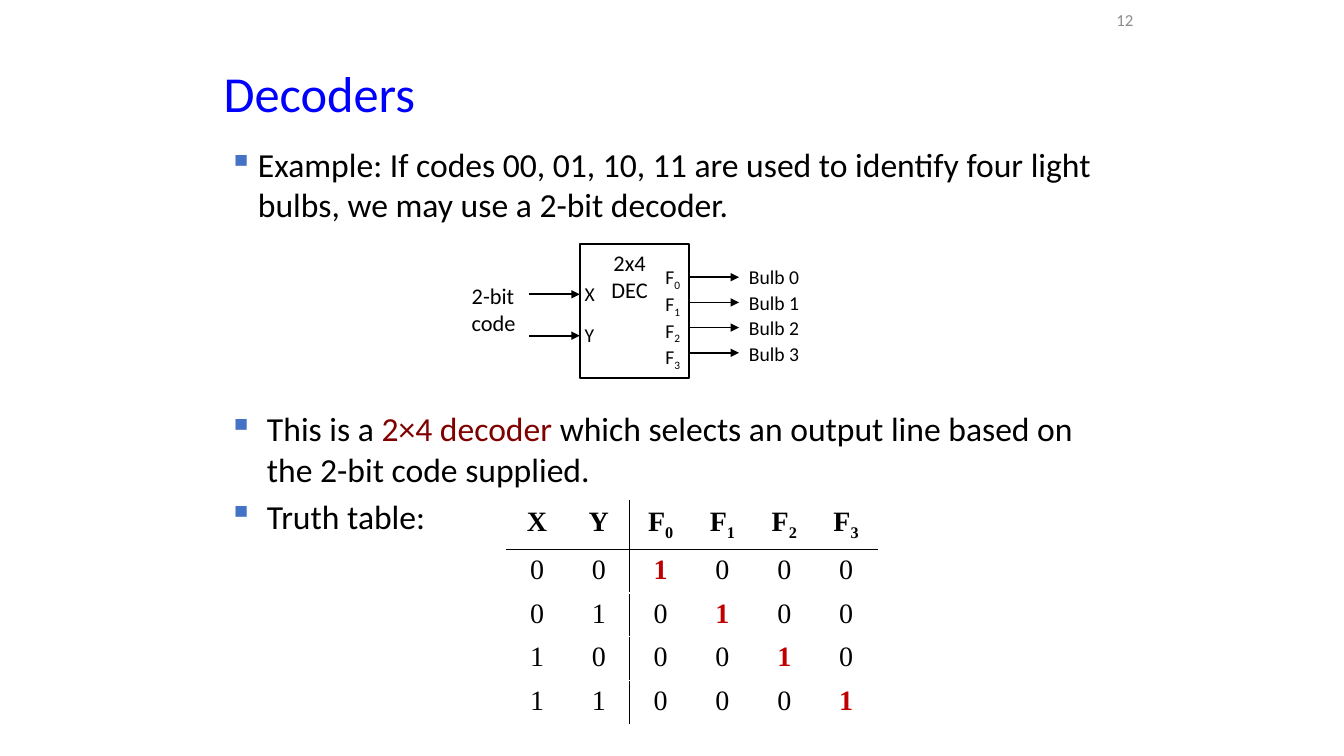
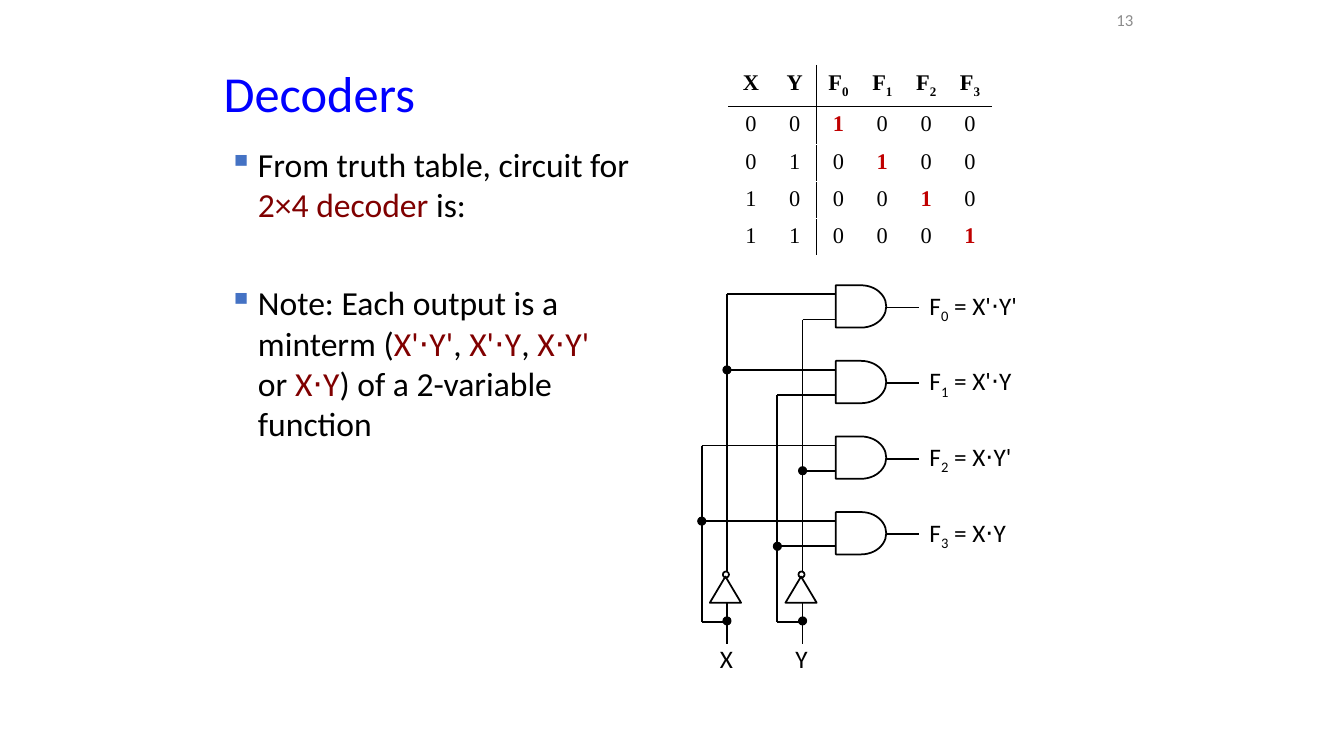
"""Build two slides that explain a 2×4 decoder."""
from lxml import etree
from pptx import Presentation
from pptx import util as u
from pptx.dml.color import RGBColor
from pptx.enum import shapes, text
from pptx.oxml.ns import qn

SCALE = 9144
BLACK, TITLE, GREY = "000000", "0000FF", "8C8C8C"
ACCENT, ONE, BULLET = "800000", "C00000", "4472C4"
BODY, TABLE = "Calibri", "Times New Roman"
LEFT, CENTER, RIGHT = text.PP_ALIGN.LEFT, text.PP_ALIGN.CENTER, text.PP_ALIGN.RIGHT
TOP, MIDDLE = text.MSO_ANCHOR.TOP, text.MSO_ANCHOR.MIDDLE
SHAPE = shapes.MSO_SHAPE

# Markup in strings: *accent* and ~subscript~
OUTPUTS = [f"F~{n}~" for n in range(4)]
CODES = ["00", "01", "10", "11"]
TRUTH = [["X", "Y", *OUTPUTS]] + [
    [*code, *("*1*" if column == row else "0" for column in range(4))]
    for row, code in enumerate(CODES)]

EXAMPLE = ["Example: If codes 00, 01, 10, 11 are used to identify four light "
           "bulbs, we may use a 2-bit decoder."]
SUMMARY = ["This is a *2×4 decoder* which selects an output line based on "
           "the 2-bit code supplied.", "Truth table:"]
CIRCUIT = ["From truth table, circuit for *2×4 decoder* is:"]
NOTE = ["Note: Each output is a minterm (*X'⋅Y'*, *X'⋅Y*, *X⋅Y'* or *X⋅Y*) "
        "of a 2-variable function"]

# Box, lines, size, alignment, space between lines in points
BLOCK_LABELS = [
    ((583, 242, 83, 64), ["2x4", "DEC"], 16, CENTER, 0),
    ((458, 275, 75, 64), ["2-bit code"], 16, LEFT, 0),
    ((570, 275, 42, 74), ["X", "Y"], 14, LEFT, 12),
    ((650, 258, 42, 104), OUTPUTS, 14, LEFT, 0),
    ((733, 258, 117, 111), [f"Bulb {n}" for n in range(4)], 14, LEFT, 1.4),
]
INPUT_ROWS = [292, 333]
OUTPUT_ROWS = [275, 300, 325, 350]

RISERS = {"X": 696, "X'": 721, "Y": 771, "Y'": 796}
GATES = [("X'", "Y'"), ("X'", "Y"), ("X", "Y'"), ("X", "Y")]
GATE_LEFT, GATE_TOP, GATE_STEP, GATE_WIDTH, GATE_HEIGHT = 829, 283, 75, 50, 42
TAPS = (9, 34)
BUBBLE_Y, BRANCH_Y, INPUT_Y = 567, 617, 639


def px(value):
    return u.Emu(round(value * SCALE))


def colour(value):
    return RGBColor.from_string(value)


def child(parent, tag, **attributes):
    return etree.SubElement(parent, qn(tag), attributes)


def write(para, content, size, font=BODY, color=BLACK, align=LEFT,
          accent=ACCENT, bold=False, bold_accent=False):
    para.alignment = align
    para.font.size, para.font.name = u.Pt(size), font
    for i, part in enumerate(content.split("*")):
        for j, piece in enumerate(part.split("~")):
            if not piece:
                continue
            span = para.add_run()
            span.text = piece
            span.font.size, span.font.name = u.Pt(size), font
            span.font.color.rgb = colour(accent if i % 2 else color)
            span.font.bold = bold or (bold_accent and i % 2 == 1)
            if j % 2:
                span.font._element.set("baseline", "-25000")


def add_text(page, box, lines, size, align=LEFT, gap=0, color=BLACK,
             anchor=TOP, indent=0):
    frame = page.shapes.add_textbox(*map(px, box)).text_frame
    frame.word_wrap, frame.vertical_anchor = True, anchor
    for i, line in enumerate(lines):
        para = frame.add_paragraph() if i else frame.paragraphs[0]
        write(para, line, size, color=color, align=align)
        if i and gap:
            para.space_before = u.Pt(gap)
        if indent:
            props = para._p.get_or_add_pPr()
            props.set("marL", str(px(indent)))
            props.set("indent", str(-px(indent)))
            child(child(props, "a:buClr"), "a:srgbClr", val=BULLET)
            child(props, "a:buChar", char="▪")
            props.append(props.find(qn("a:defRPr")))


def add_bullets(page, box, lines, indent=29):
    add_text(page, box, lines, 24, gap=4.8, indent=indent)


def add_line(page, start, end, arrow=False):
    line = page.shapes.add_connector(
        shapes.MSO_CONNECTOR.STRAIGHT, *map(px, (*start, *end)))
    line.line.color.rgb, line.line.width = colour(BLACK), u.Pt(1.25)
    if arrow:
        child(line.line._get_or_add_ln(), "a:tailEnd", type="triangle")
    child(line._element.spPr, "a:effectLst")


def add_outline(page, kind, box, width=1.25, fill=None):
    shape = page.shapes.add_shape(kind, *map(px, box))
    shape.shadow.inherit = False
    shape.line.color.rgb, shape.line.width = colour(BLACK), u.Pt(width)
    if fill:
        shape.fill.solid()
        shape.fill.fore_color.rgb = colour(fill)
    else:
        shape.fill.background()


def add_dot(page, x, y):
    add_outline(page, SHAPE.OVAL, (x - 4, y - 4, 8, 8), 0.75, BLACK)


def add_truth_table(page, left, top, width, header, row_height, size):
    columns = len(TRUTH[0])
    height = header + row_height * (len(TRUTH) - 1)
    table = page.shapes.add_table(
        len(TRUTH), columns, *map(px, (left, top, width, height))).table
    table.first_row = table.horz_banding = False
    for column in table.columns:
        column.width = px(width / columns)
    for r, values in enumerate(TRUTH):
        table.rows[r].height = px(row_height if r else header)
        for c, value in enumerate(values):
            cell = table.cell(r, c)
            write(cell.text_frame.paragraphs[0], value, size, TABLE,
                  align=CENTER, accent=ONE, bold=r == 0, bold_accent=True)
            edges = {"L": c == 2, "R": c == 1, "T": r == 1, "B": r == 0}
            for side, ruled in edges.items():
                if ruled:
                    edge = child(cell._tc.get_or_add_tcPr(), f"a:ln{side}",
                                 w=str(u.Pt(1)))
                    child(child(edge, "a:solidFill"), "a:srgbClr", val=BLACK)
            cell.fill.background()


def add_page(deck, number):
    page = deck.slides.add_slide(deck.slide_layouts[6])
    add_text(page, (212, 57, 921, 70), ["Decoders"], 36, color=TITLE, anchor=MIDDLE)
    add_text(page, (1039, 2, 95, 36), [str(number)], 12, RIGHT, color=GREY,
             anchor=MIDDLE)
    return page


def draw_block(page):
    add_outline(page, SHAPE.RECTANGLE, (575, 242, 108, 133), 1.5)
    for left, rows in ((525, INPUT_ROWS), (683, OUTPUT_ROWS)):
        for y in rows:
            add_line(page, (left, y), (left + 50, y), arrow=True)
    for label in BLOCK_LABELS:
        add_text(page, *label)


def draw_circuit(page):
    taps = {name: [] for name in RISERS}
    for n, inputs in enumerate(GATES):
        top = GATE_TOP + n * GATE_STEP
        right, middle = GATE_LEFT + GATE_WIDTH, top + 22
        add_outline(page, SHAPE.FLOWCHART_DELAY,
                    (GATE_LEFT, top, GATE_WIDTH, GATE_HEIGHT))
        add_line(page, (right, middle), (right + 33, middle))
        add_text(page, (right + 33, top, 129, 40),
                 [f"{OUTPUTS[n]} = {'⋅'.join(inputs)}"], 18)
        for name, offset in zip(inputs, TAPS):
            add_line(page, (RISERS[name], top + offset), (GATE_LEFT, top + offset))
            taps[name].append(top + offset)
    for name, x in RISERS.items():
        bottom = BUBBLE_Y if "'" in name else BRANCH_Y
        add_line(page, (x, taps[name][0]), (x, bottom))
        add_dot(page, x, taps[name][1])
    for name in "XY":
        x = RISERS[name + "'"]
        add_outline(page, SHAPE.FLOWCHART_EXTRACT, (x - 17, 572, 31, 26))
        add_outline(page, SHAPE.OVAL, (x - 4, BUBBLE_Y, 6, 6))
        add_line(page, (x, 598), (x, INPUT_Y))
        add_line(page, (RISERS[name], BRANCH_Y), (x, BRANCH_Y))
        add_dot(page, x, BRANCH_Y - 1)
        add_text(page, (x - 17, 633, 42, 40), [name], 18)


def main():
    deck = Presentation()
    deck.slide_width, deck.slide_height = px(1333), px(750)

    page = add_page(deck, 12)
    add_bullets(page, (217, 138, 900, 104), EXAMPLE)
    draw_block(page)
    add_bullets(page, (217, 400, 900, 192), SUMMARY, 38)
    add_truth_table(page, 502, 497, 368, 48, 43, 20)

    page = add_page(deck, 13)
    add_bullets(page, (217, 138, 475, 104), CIRCUIT)
    draw_circuit(page)
    add_bullets(page, (217, 275, 392, 192), NOTE)
    add_truth_table(page, 723, 65, 261, 41, 37, 16)

    deck.save("out.pptx")


if __name__ == "__main__":
    main()
